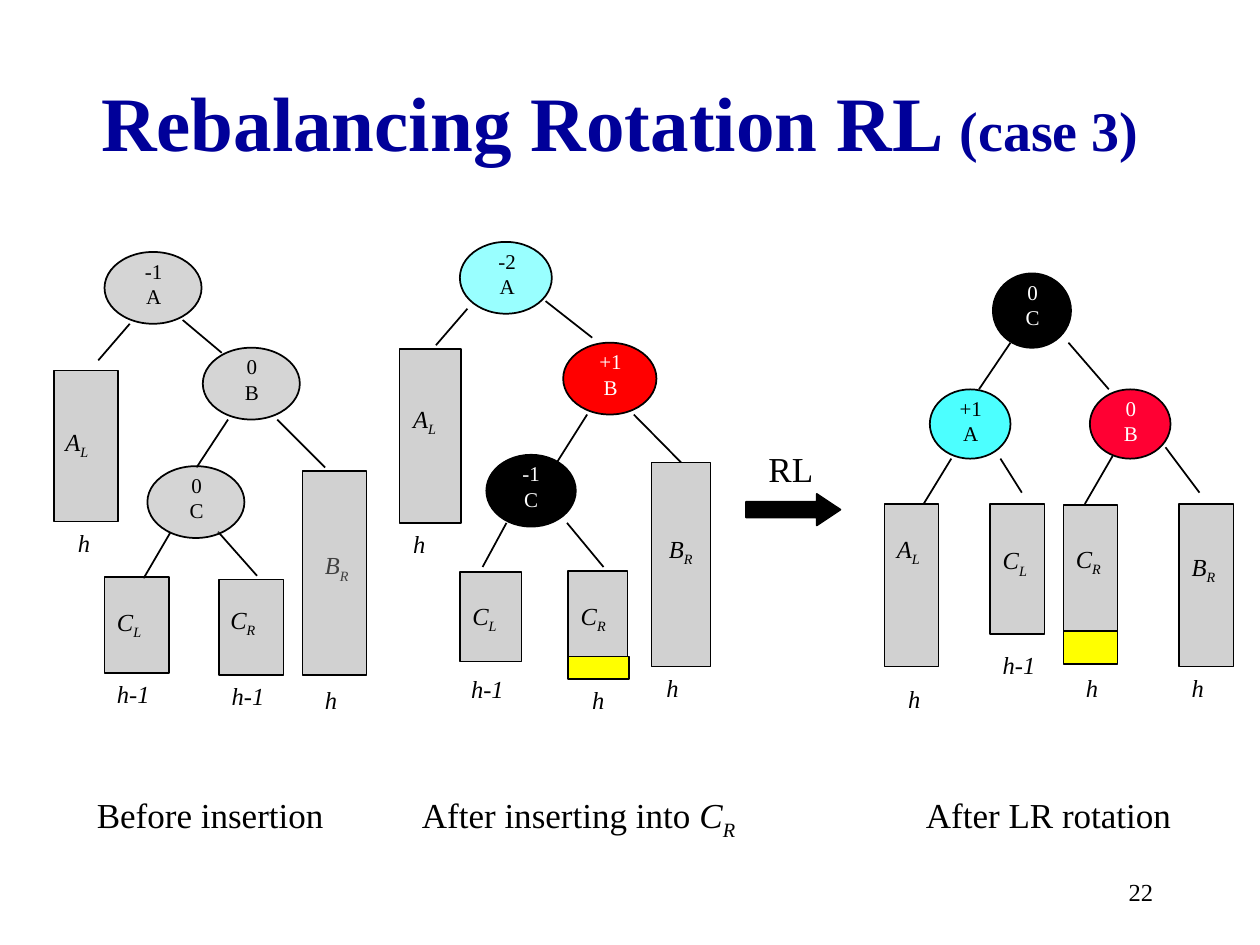
from copy import deepcopy

from lxml import etree
from pptx import Presentation
from pptx.dml.color import RGBColor
from pptx.enum.shapes import MSO_CONNECTOR, MSO_SHAPE
from pptx.enum.text import MSO_ANCHOR, MSO_AUTO_SIZE, PP_ALIGN
from pptx.oxml.ns import qn
from pptx.util import Emu, Pt

OVAL, BAR, ARROW = MSO_SHAPE.OVAL, MSO_SHAPE.RECTANGLE, MSO_SHAPE.RIGHT_ARROW
STRAIGHT = MSO_CONNECTOR.STRAIGHT
LEFT, CENTER, RIGHT = PP_ALIGN.LEFT, PP_ALIGN.CENTER, PP_ALIGN.RIGHT
MIDDLE = MSO_ANCHOR.MIDDLE
GROW = MSO_AUTO_SIZE.SHAPE_TO_FIT_TEXT

EMU_PER_PX = 9144
FONT = "Times New Roman"
BLACK = RGBColor(0x00, 0x00, 0x00)
WHITE = RGBColor(0xFF, 0xFF, 0xFF)
NAVY = RGBColor(0x00, 0x00, 0x99)
GRAY = RGBColor(0x96, 0x96, 0x96)
CYAN = RGBColor(0x00, 0xFF, 0xFF)
RED = RGBColor(0xFF, 0x00, 0x00)
CRIMSON = RGBColor(0xFF, 0x00, 0x33)
YELLOW = RGBColor(0xFF, 0xFF, 0x00)
BAR_ALPHA = 43

BEFORE = {
    "label_width": 77,
    "edges": [(103, 257, 78, 286), (145, 254, 176, 280), (181, 333, 156, 371),
              (220, 333, 258, 371), (135, 423, 114, 459), (173, 422, 204, 457)],
    "bars": [(43, 294, 51, 120), (83, 458, 51, 76),
             (174, 460, 51, 76), (240, 374, 51, 162)],
    "nodes": [("-1\vA", (83, 200, 77, 57), GRAY, 40, BLACK),
              ("0\vB", (161, 276, 77, 57), GRAY, 40, BLACK),
              ("0\vC", (117, 370, 77, 57), GRAY, 40, BLACK)],
    "labels": [("A_L", 42, 334), ("h", 52, 414), ("C_L", 83, 477),
               ("h-1", 83, 534), ("C_R", 173, 475), ("h-1", 174, 536),
               ("h", 248, 539)],
}
INSERTED = {
    "label_width": 71,
    "edges": [(371, 245, 346, 274), (433, 239, 470, 268), (466, 329, 442, 367),
              (402, 415, 383, 450), (450, 415, 479, 450)],
    "joined": [(503, 329, 3)],
    "bars": [(317, 277, 49, 138), (365, 454, 49, 71),
             (451, 453, 47, 76), (517, 367, 47, 162)],
    "new_leaf": (451, 521, 48, 18),
    "nodes": [("-2\vA", (365, 192, 73, 57), CYAN, 40, BLACK),
              ("+1\vB", (447, 272, 74, 57), RED, 100, WHITE),
              ("-1\vC", (386, 361, 71, 57), BLACK, 100, WHITE)],
    "labels": [("A_L", 318, 316), ("h", 318, 415), ("C_L", 365, 472),
               ("h-1", 364, 530), ("C_R", 451, 472), ("h", 460, 539),
               ("B_R", 521, 419), ("h", 519, 529)],
}
ROTATED = {
    "label_width": 64,
    "edges": [(802, 272, 777, 309), (848, 272, 880, 309), (755, 364, 733, 400),
              (794, 364, 811, 391), (883, 362, 861, 400), (925, 355, 952, 391)],
    "bars": [(702, 400, 43, 129), (786, 400, 43, 103),
             (844, 401, 43, 102), (936, 400, 43, 129)],
    "new_leaf": (844, 501, 43, 26),
    "nodes": [("0\vC", (788, 217, 62, 59), BLACK, 100, WHITE),
              ("+1\vA", (738, 309, 64, 55), CYAN, 70, BLACK),
              ("0\vB", (865, 309, 64, 55), CRIMSON, 100, WHITE)],
    "labels": [("A_L", 702, 419), ("h", 711, 538), ("C_L", 786, 428),
               ("h-1", 786, 511), ("C_R", 844, 427), ("h", 852, 529),
               ("B_R", 936, 433), ("h", 936, 529)],
}


def px(*lengths):
    """Turn pixel lengths into EMU."""
    return [Emu(length * EMU_PER_PX) for length in lengths]


def add_text(shapes, frame, text, size, color=BLACK, align=LEFT):
    """Add a wrapping text box of one paragraph and return it."""
    box = shapes.add_textbox(*px(*frame))
    box.text_frame.word_wrap = True
    box.text_frame.auto_size = GROW
    box.text_frame.text = text
    paragraph = box.text_frame.paragraphs[0]
    paragraph.alignment = align
    for span in paragraph.runs:
        style_span(span, size, color)
    for line_break in paragraph._p.findall(qn("a:br")):
        line_break.append(deepcopy(paragraph.runs[0]._r.rPr))
    return box


def style_span(span, size, color=BLACK):
    """Set the font of one span."""
    span.font.name = FONT
    span.font.size = Pt(size)
    span.font.color.rgb = color


def add_symbol(paragraph, symbol, size):
    """Append an italic symbol, with its subscript after an underscore."""
    for position, part in enumerate(symbol.split("_")):
        span = paragraph.add_run()
        span.text = part
        style_span(span, size)
        span.font.italic = True
        if position:
            span._r.get_or_add_rPr().set("baseline", "-25000")


def add_label(shapes, symbol, left, top, width):
    """Add a subtree name or height."""
    box = add_text(shapes, (left, top, width, 33), "", 14)
    add_symbol(box.text_frame.paragraphs[0], symbol, 14)


def add_solid(shapes, kind, frame, color, alpha=100):
    """Add an outlined shape with an optionally transparent fill."""
    shape = shapes.add_shape(kind, *px(*frame))
    shape.shadow.inherit = False
    shape.fill.solid()
    shape.fill.fore_color.rgb = color
    if alpha < 100:
        fill = shape._element.spPr.find(qn("a:solidFill"))
        etree.SubElement(fill[0], qn("a:alpha"), val=str(alpha * 1000))
    shape.line.color.rgb = BLACK
    shape.line.width = Pt(1)
    return shape


def add_node(shapes, text, frame, color, alpha, text_color):
    """Add a tree node with its balance factor and name."""
    left, top, width, height = frame
    add_solid(shapes, OVAL, frame, color, alpha)
    inner = (left + round(0.09 * width), top, round(0.83 * width), 50)
    add_text(shapes, inner, text, 12, text_color, CENTER)


def add_edge(shapes, ends):
    """Add a straight tree edge."""
    edge = shapes.add_connector(STRAIGHT, *px(*ends))
    edge.line.color.rgb = BLACK
    edge.line.width = Pt(1)
    etree.SubElement(edge._element.spPr, qn("a:effectLst"))
    return edge


def add_tree(page, tree):
    """Add one tree as a group."""
    shapes = page.shapes.add_group_shape().shapes
    for ends in tree["edges"]:
        add_edge(shapes, ends)
    bars = [add_solid(shapes, BAR, frame, GRAY, BAR_ALPHA) for frame in tree["bars"]]
    for left, top, index in tree.get("joined", []):
        add_edge(shapes, (left, top, left, top)).end_connect(bars[index], 0)
    if "new_leaf" in tree:
        add_solid(shapes, BAR, tree["new_leaf"], YELLOW)
    for node in tree["nodes"]:
        add_node(shapes, *node)
    for symbol, left, top in tree["labels"]:
        add_label(shapes, symbol, left, top, tree["label_width"])


def add_title(page):
    """Add the title with its smaller case number."""
    box = add_text(page.shapes, (67, 33, 850, 125), "Rebalancing Rotation RL ", 44, NAVY, CENTER)
    box.text_frame.auto_size = MSO_AUTO_SIZE.NONE
    box.text_frame.vertical_anchor = MIDDLE
    paragraph = box.text_frame.paragraphs[0]
    case = paragraph.add_run()
    case.text = "(case 3)"
    style_span(case, 32, NAVY)
    for span in paragraph.runs:
        span.font.bold = True


def add_captions(page):
    """Add the caption under each tree."""
    add_text(page.shapes, (67, 625, 200, 43), "Before insertion", 20)
    box = add_text(page.shapes, (325, 625, 283, 43), "After inserting into ", 20)
    add_symbol(box.text_frame.paragraphs[0], "C_R", 20)
    add_text(page.shapes, (725, 625, 233, 43), "After LR rotation", 20)


def add_rotation_arrow(page):
    """Add the arrow that names the rotation."""
    shapes = page.shapes.add_group_shape().shapes
    arrow = add_solid(shapes, ARROW, (592, 392, 75, 25), BLACK)
    arrow.adjustments[0] = 0.5
    arrow.adjustments[1] = 0.75
    add_text(shapes, (600, 350, 58, 43), "RL", 20)


def add_page_number(page):
    """Add the page number."""
    box = add_text(page.shapes, (717, 683, 208, 50), "22", 14, align=RIGHT)
    box.text_frame.auto_size = MSO_AUTO_SIZE.NONE
    box.text_frame.word_wrap = False
    box.text_frame.vertical_anchor = MIDDLE


def main():
    """Build and save the slide."""
    deck = Presentation()
    deck.slide_width, deck.slide_height = px(1000, 750)
    page = deck.slides.add_slide(deck.slide_layouts[6])
    add_page_number(page)
    add_title(page)
    add_captions(page)
    add_label(page.shapes, "B_R", 248, 432, 77)
    add_tree(page, BEFORE)
    add_rotation_arrow(page)
    add_tree(page, ROTATED)
    add_tree(page, INSERTED)
    deck.save("out.pptx")


if __name__ == "__main__":
    main()
